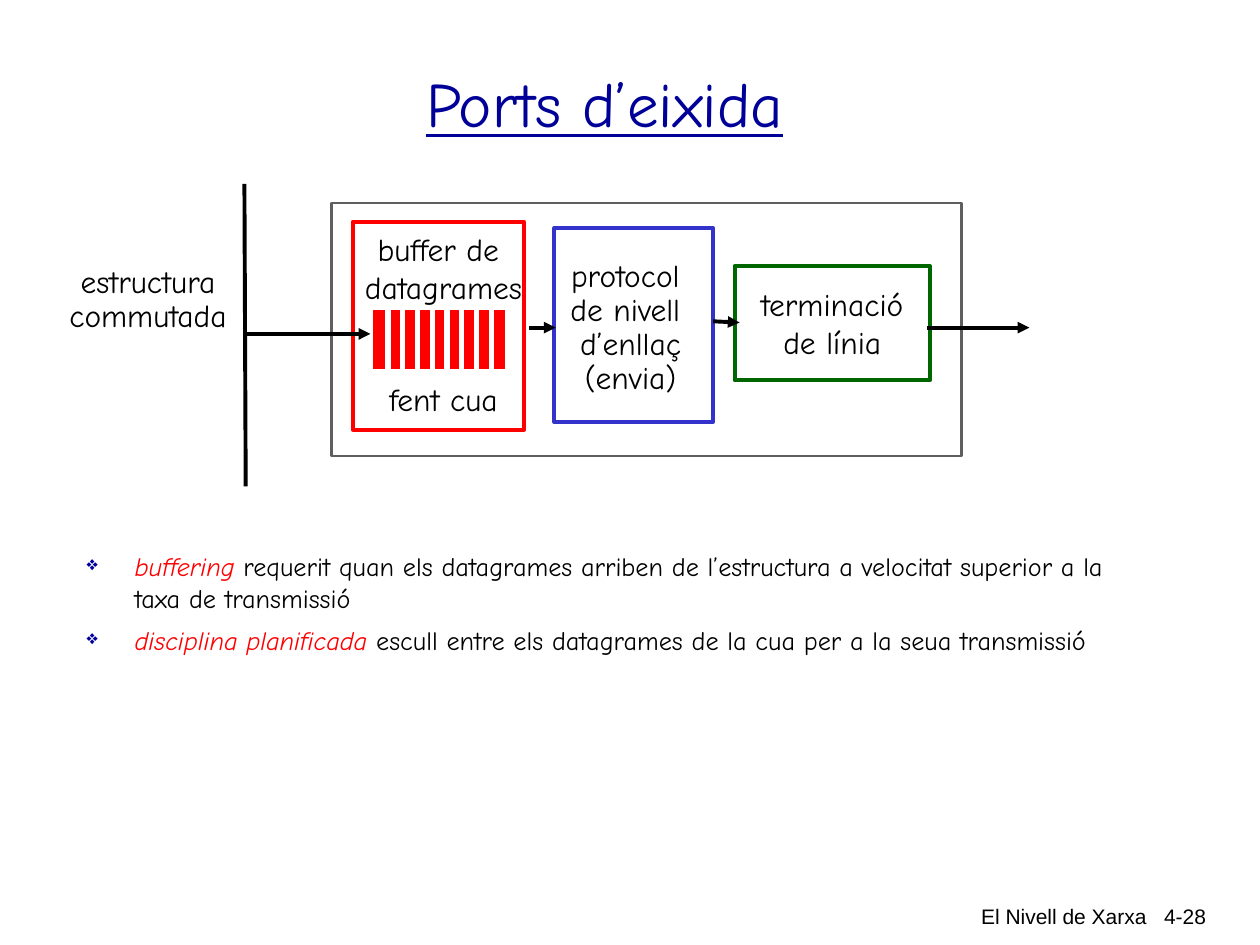
import pptx
import pptx.dml.color
import pptx.enum.shapes
import pptx.enum.text
import pptx.oxml
import pptx.oxml.ns
import pptx.util

COLORS = {
    "ink": "000000", "paper": "FFFFFF", "title": "000099", "red": "FF0000",
    "frame": "5F5F5F", "blue": "3333CC", "green": "006600",
}
ALIGN = pptx.enum.text.PP_ALIGN
ANCHOR = pptx.enum.text.MSO_ANCHOR
COLUMNS, ROWS = 100, 75


def rgb(name):
    return pptx.dml.color.RGBColor.from_string(COLORS[name])


def add_xml(parent, tag, **attributes):
    element = pptx.oxml.parse_xml(f"<a:{tag} {pptx.oxml.ns.nsdecls('a')}/>")
    for key, value in attributes.items():
        element.set(key, value)
    parent.append(element)


class Diagram:
    """Style and current slide; places are in grid columns and rows."""

    def __init__(self, deck, font="Comic Neue"):
        self.slide = deck.slides.add_slide(deck.slide_layouts[6])
        self.shapes = self.slide.shapes
        self.column = deck.slide_width / COLUMNS
        self.row = deck.slide_height / ROWS
        self.font = font

    def cells(self, *lengths):
        """Turn alternating columns and rows into slide lengths."""
        return [round(n * (self.row if i % 2 else self.column))
                for i, n in enumerate(lengths)]

    def group(self):
        self.shapes = self.slide.shapes.add_group_shape().shapes

    def ungroup(self):
        self.shapes = self.slide.shapes

    def box(self, place, fill="paper", line=None, width=2.25):
        box = self.shapes.add_shape(
            pptx.enum.shapes.MSO_SHAPE.RECTANGLE, *self.cells(*place))
        box.shadow.inherit = False
        box.fill.solid()
        box.fill.fore_color.rgb = rgb(fill)
        if line:
            box.line.color.rgb = rgb(line)
            box.line.width = pptx.util.Pt(width)
        else:
            box.line.fill.background()
        return box

    def line(self, start, end, color="ink", width=2.25, arrow=False):
        line = self.shapes.add_connector(
            pptx.enum.shapes.MSO_CONNECTOR.STRAIGHT, *self.cells(*start, *end))
        line.line.color.rgb = rgb(color)
        line.line.width = pptx.util.Pt(width)
        if arrow:
            add_xml(line.line._get_or_add_ln(), "tailEnd", type="triangle")
        add_xml(line._element.spPr, "effectLst")

    def textbox(self, place):
        return self.shapes.add_textbox(*self.cells(*place))

    def run(self, paragraph, text, size, color="ink", font=None):
        run = paragraph.add_run()
        run.text = text
        run.font.name = font or self.font
        run.font.size = pptx.util.Pt(size)
        run.font.color.rgb = rgb(color)
        return run

    def label(self, holder, lines, size=18, color="ink", font=None, wrap=False,
              align=ALIGN.CENTER, anchor=ANCHOR.MIDDLE, spacing=None):
        """Write one paragraph per line and return the paragraphs."""
        frame = holder.text_frame
        frame.word_wrap = wrap
        frame.vertical_anchor = anchor
        for number, text in enumerate(lines):
            paragraph = frame.add_paragraph() if number else frame.paragraphs[0]
            paragraph.alignment = align
            if spacing:
                paragraph.line_spacing = spacing
            self.run(paragraph, text, size, color, font)
        return frame.paragraphs

    def bullets(self, place, items, size=15):
        frame = self.textbox(place).text_frame
        frame.word_wrap = True
        indent = pptx.util.Inches(0.38)
        for number, (term, rest) in enumerate(items):
            paragraph = frame.add_paragraph() if number else frame.paragraphs[0]
            if number:
                paragraph.space_before = pptx.util.Pt(6)
            properties = paragraph._p.get_or_add_pPr()
            properties.set("marL", str(indent))
            properties.set("indent", str(-indent))
            add_xml(properties, "buClr")
            add_xml(properties[-1], "srgbClr", val=COLORS["title"])
            add_xml(properties, "buSzPct", val="75000")
            add_xml(properties, "buChar", char="❖")
            self.run(paragraph, term, size, "red").font.italic = True
            self.run(paragraph, rest, size)


def main():
    deck = pptx.Presentation()
    deck.slide_width = pptx.util.Inches(10)
    deck.slide_height = pptx.util.Inches(7.5)
    port = Diagram(deck)

    # Footer and page number
    for place, text in (((60.3, 71.2, 31.7, 4.1), "El Nivell de Xarxa"),
                        ((89.3, 71.2, 7.4, 3.8), "4-28")):
        port.label(port.textbox(place), [text], 12, font="Arial", wrap=True,
                   align=ALIGN.RIGHT, anchor=ANCHOR.TOP)

    # Title
    title = port.label(port.textbox((5.5, 4.4, 85, 7.5)), ["Ports d’eixida"],
                       36, "title", wrap=True)
    title[0].runs[0].font.underline = True

    # Explanation
    port.bullets((5.9, 43.2, 85, 10), [
        ("buffering", " requerit quan els datagrames arriben de l’estructura "
                      "a velocitat superior a la taxa de transmissió"),
        ("disciplina planificada", " escull entre els datagrames de la cua "
                                   "per a la seua transmissió"),
    ])

    # Output port: frame, line termination and link protocol
    port.box((26.3, 16.1, 50, 20.1), line="frame", width=1.5)
    termination = port.box((58.3, 21.1, 15.5, 9.1), line="green")
    port.label(termination, ["terminació", "de línia"])
    port.box((44, 18.1, 12.6, 15.4), line="blue")
    for start, end in (((42, 26), (44.1, 26)),
                       ((56.6, 25.5), (58.7, 25.6)),
                       ((73.6, 26), (81.7, 26))):
        port.line(start, end, arrow=True)
    protocol = port.box((44.3, 21.5, 11.5, 9.1))
    port.label(protocol, ["protocol ", "de nivell ", "d’enllaç", "(envia)"],
               spacing=0.9)
    fabric = port.box((6, 19.3, 11.5, 9.1))
    port.label(fabric, ["estructura", "commutada"], spacing=0.9)

    # Datagram buffer with its queue
    port.group()
    port.box((28, 17.6, 13.6, 16.5), line="red")
    buffer = port.label(port.textbox((27.9, 17.8, 14.6, 16)),
                        ["buffer de ", "datagrames", "fent cua"],
                        anchor=ANCHOR.TOP)
    buffer[-1].space_before = pptx.util.Pt(42)
    port.box((29.4, 24.4, 10.9, 5.1), "red", "paper", 3)
    for slot in range(8):
        gap = 30.8 + 1.17 * slot
        port.line((gap, 24.5), (gap, 29.4), "paper", 3)
    port.ungroup()

    # Switching fabric and its way into the buffer
    port.line((19.4, 14.6), (19.5, 38.6))
    port.line((19.3, 26.5), (29.4, 26.5), arrow=True)

    deck.save("out.pptx")


if __name__ == "__main__":
    main()
